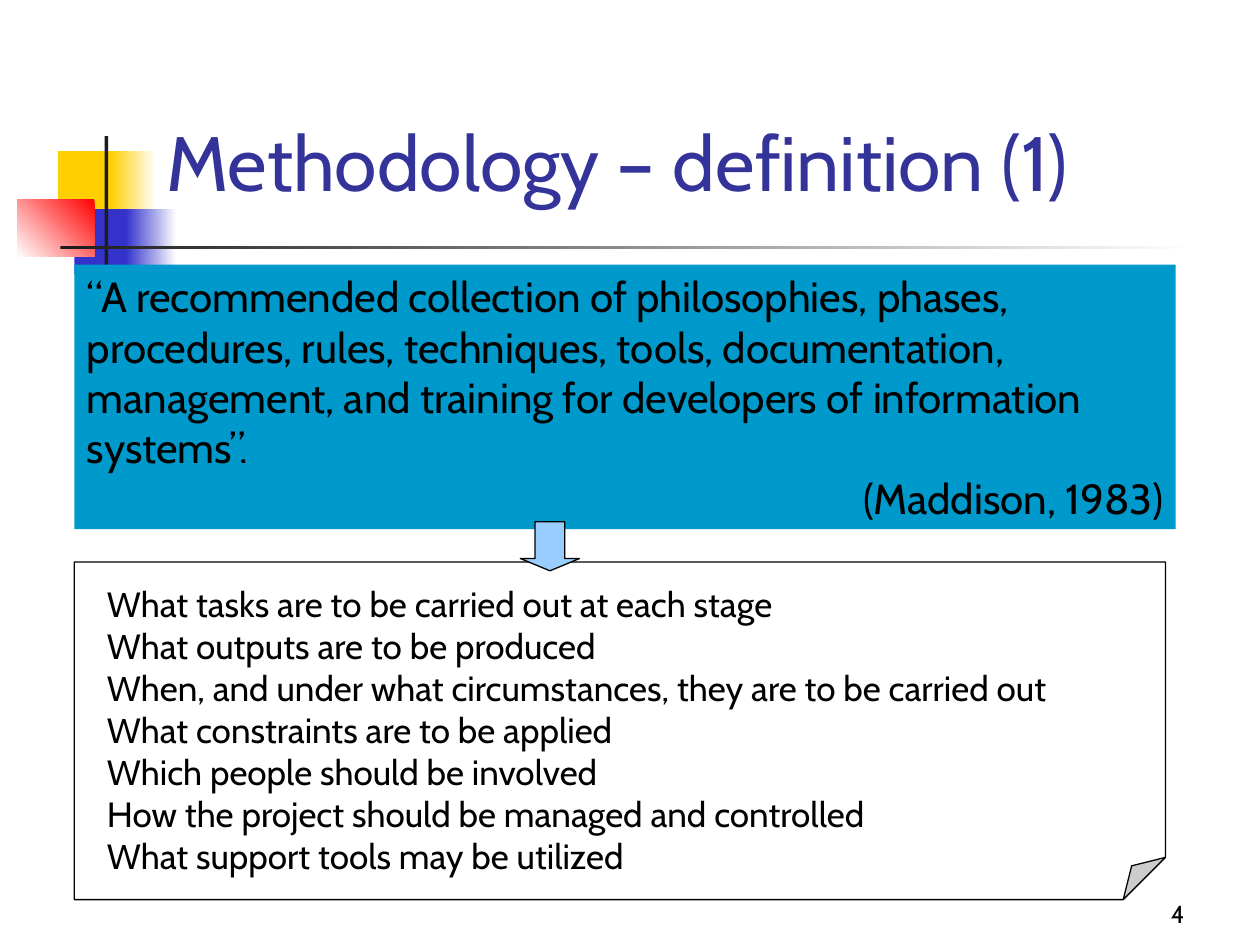
from lxml.etree import SubElement
from pptx import Presentation
from pptx.dml.color import RGBColor
from pptx.enum.shapes import MSO_SHAPE as SHAPE
from pptx.enum.text import MSO_ANCHOR as ANCHOR, PP_ALIGN as ALIGN
from pptx.oxml.ns import qn
from pptx.util import Inches, Pt

FONT = "Cabin"
QUOTE = ("“A recommended collection of philosophies, phases, procedures, rules, "
         "techniques, tools, documentation, management, and training for "
         "developers of information systems”.")
QUESTIONS = [
    "What tasks are to be carried out at each stage",
    "What outputs are to be produced",
    "When, and under what circumstances, they are to be carried out",
    "What constraints are to be applied",
    "Which people should be involved",
    "How the project should be managed and controlled",
    "What support tools may be utilized",
]


def color(value):
    return RGBColor.from_string(value)


def add_shape(slide, kind, box, fill, line=None):
    """Fill is one colour, or (first colour, last colour, angle)."""
    sp = slide.shapes.add_shape(kind, *map(Inches, box))
    sp.shadow.inherit = False
    if isinstance(fill, tuple):
        sp.fill.gradient()
        sp.fill.gradient_angle = fill[2]
        for stop, value in zip(sp.fill.gradient_stops, fill):
            stop.color.rgb = color(value)
    else:
        sp.fill.solid()
        sp.fill.fore_color.rgb = color(fill)
    if line:
        sp.line.color.rgb = color(line)
        sp.line.width = Pt(0.75)
    else:
        sp.line.fill.background()
    return sp


def write(sp, lines, size, text_color="000000", align=ALIGN.LEFT, anchor=ANCHOR.TOP):
    tf = sp.text_frame
    tf.word_wrap = True
    tf.vertical_anchor = anchor
    for i, line in enumerate(lines):
        p = tf.paragraphs[0] if i == 0 else tf.add_paragraph()
        p.text = line
        p.alignment = align
        p.font.name = FONT
        p.font.size = Pt(size)
        p.font.color.rgb = color(text_color)
    return tf


def add_text(slide, box, *args, **kwargs):
    return write(slide.shapes.add_textbox(*map(Inches, box)), *args, **kwargs)


def add_ornament(slide, left, top):
    """Overlapping squares with a vertical bar and a fading rule."""
    parts = [
        (0.32, 0.12, 0.48, 0.52, "FFCF01"),
        (0.74, 0.12, 0.36, 0.52, ("FFCF01", "FFFFFF", 0)),
        (0.45, 0.58, 0.46, 0.52, "3333CC"),
        (0.86, 0.58, 0.4, 0.52, ("3333CC", "FFFFFF", 0)),
        (0, 0.5, 0.61, 0.46, ("FF0000", "FFFFFF", 225)),
        (0.69, 0, 0.03, 1.15, "1C1C1C"),
        (0.34, 0.87, 9, 0.03, ("1C1C1C", "FFFFFF", 0)),
    ]
    for x, y, w, h, fill in parts:
        add_shape(slide, SHAPE.RECTANGLE, (left + x, top + y, w, h), fill)


def add_questions(slide, left, top, width, height):
    """Folded note with the list of questions."""
    note = add_shape(slide, SHAPE.FOLDED_CORNER, (left, top, width, height),
                     "FFFFFF", "000000")
    # The library lists no adjustment for this preset, so set the fold in XML
    geometry = note.element.spPr.find(qn("a:prstGeom"))
    guides = geometry.find(qn("a:avLst"))
    if guides is None:
        guides = SubElement(geometry, qn("a:avLst"))
    SubElement(guides, qn("a:gd"), name="adj", fmla="val 12500")
    add_text(slide, (left + 0.16, top + 0.11, 9.06, 2.9), QUESTIONS, 20)


def add_quote(slide, left, top, width, height):
    """Quotation panel with its source and the arrow leaving it."""
    panel = add_shape(slide, SHAPE.RECTANGLE, (left, top, width, height), "0099CC")
    tf = write(panel, [QUOTE, "(Maddison, 1983)"], 24)
    tf.paragraphs[1].alignment = ALIGN.RIGHT
    arrow = add_shape(slide, SHAPE.DOWN_ARROW,
                      (left + 3.54, top + height - 0.06, 0.47, 0.39),
                      "99CCFF", "000000")
    arrow.adjustments[0] = 0.5
    arrow.adjustments[1] = 0.25


def main():
    prs = Presentation()
    prs.slide_width, prs.slide_height = Inches(10), Inches(7.5)
    s = prs.slides.add_slide(prs.slide_layouts[6])

    add_ornament(s, 0.14, 1.08)
    add_text(s, (1.22, 0.44, 8.52, 1.25), ["Methodology – definition (1)"], 44,
             "333399", anchor=ANCHOR.BOTTOM)
    add_questions(s, 0.59, 4.46, 8.66, 2.68)
    add_quote(s, 0.59, 2.1, 8.74, 2.1)
    # Page number
    add_text(s, (7.42, 6.92, 2.08, 0.5), ["4"], 14,
             align=ALIGN.RIGHT, anchor=ANCHOR.BOTTOM)

    prs.save("out.pptx")


if __name__ == "__main__":
    main()
